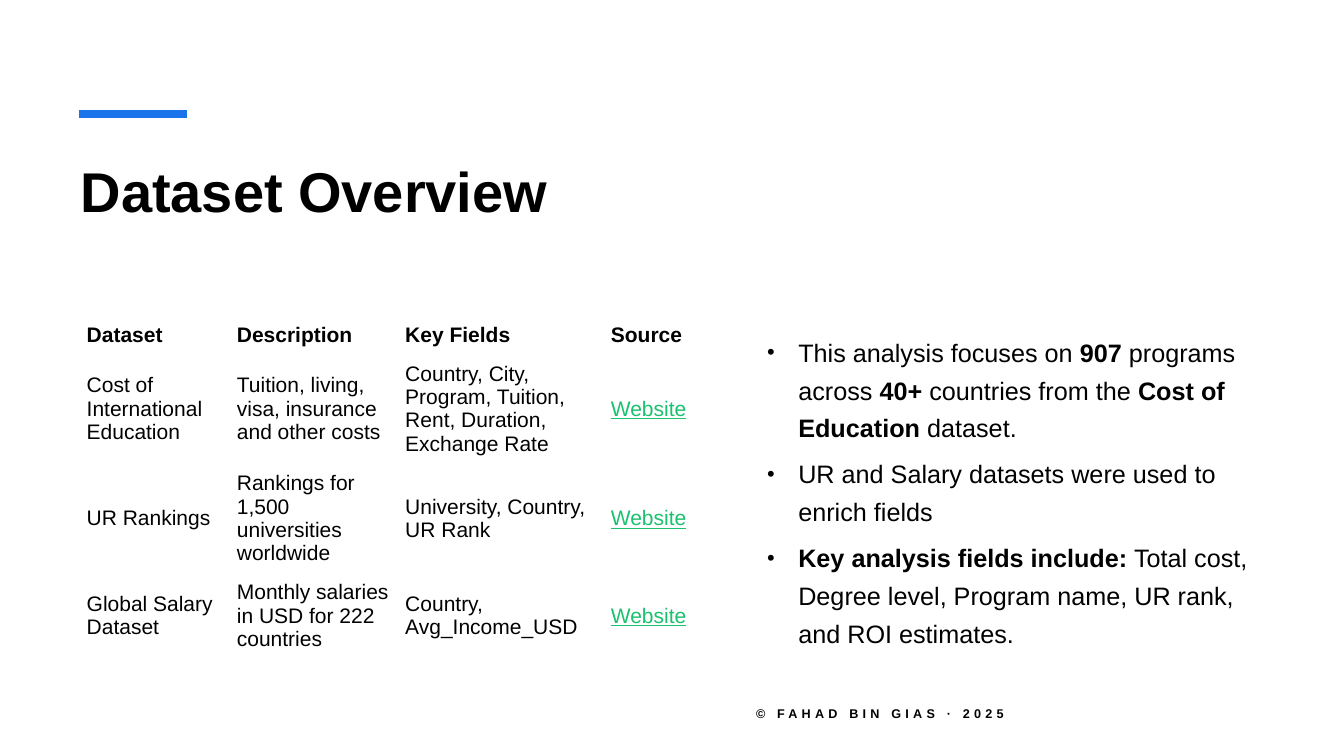
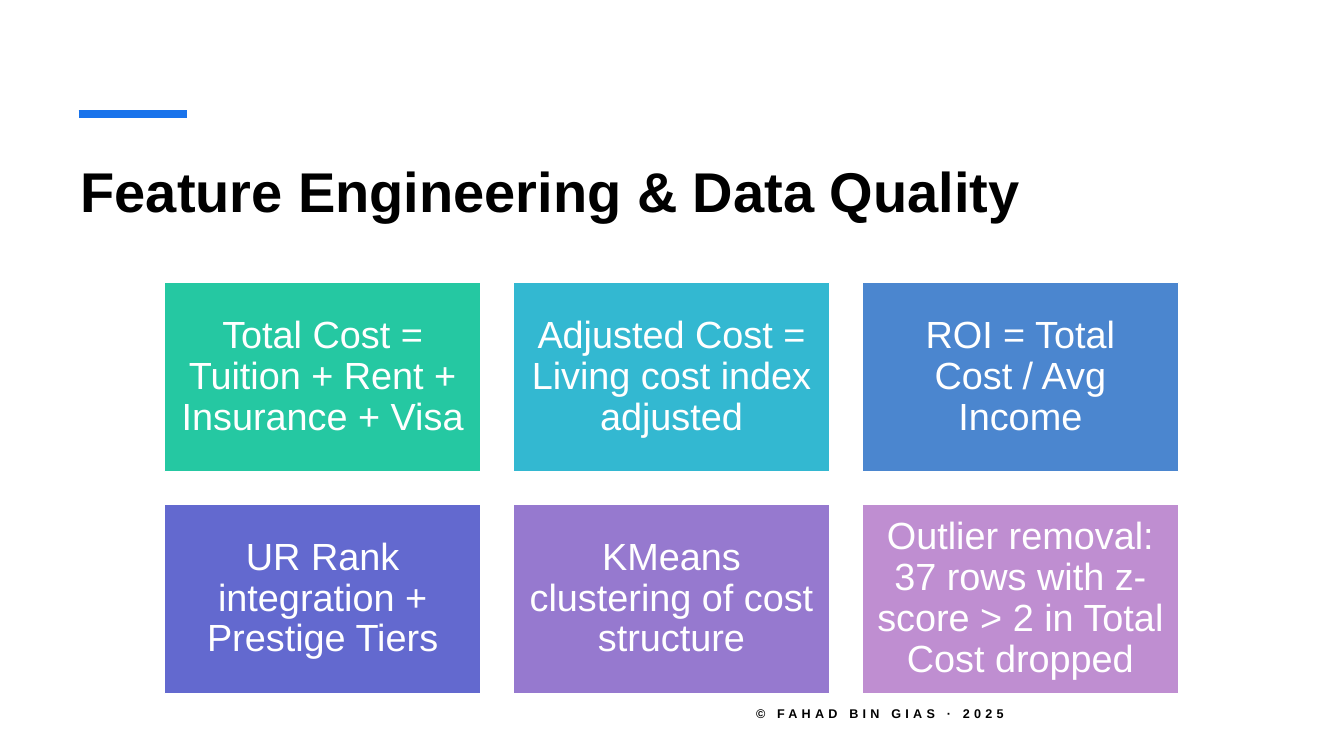
from lxml.etree import SubElement
from pptx import Presentation
from pptx.dml.color import RGBColor
from pptx.enum.shapes import MSO_CONNECTOR, MSO_SHAPE
from pptx.enum.text import MSO_ANCHOR, PP_ALIGN
from pptx.oxml.ns import qn
from pptx.util import Inches, Pt

FONT = "Arial"
BLACK = RGBColor(0x00, 0x00, 0x00)
WHITE = RGBColor(0xFF, 0xFF, 0xFF)
BLUE = RGBColor(0x19, 0x73, 0xEB)
LINK_GREEN = RGBColor(0x1A, 0xC1, 0x6E)

FOOTER = "© FAHAD BIN GIAS · 2025"

DATASETS = [
    ("Dataset", "Description", "Key Fields", "Source"),
    ("Cost of International Education",
     "Tuition, living, visa, insurance and other costs",
     "Country, City, Program, Tuition, Rent, Duration, Exchange Rate", "Website"),
    ("UR Rankings", "Rankings for 1,500 universities worldwide",
     "University, Country, UR Rank", "Website"),
    ("Global Salary Dataset", "Monthly salaries in USD for 222 countries",
     "Country, Avg_Income_USD", "Website"),
]
COLUMN_WIDTHS = [1.49, 1.67, 2.04, 0.97]
ROW_HEIGHTS = [0.36, 1.09, 1.09, 0.84]

# Each finding is a list of (text, bold) pieces
FINDINGS = [
    [("This analysis focuses on ", False), ("907", True),
     (" programs across ", False), ("40+", True),
     (" countries from the ", False), ("Cost of Education", True),
     (" dataset.", False)],
    [("UR and Salary datasets were used to enrich fields", False)],
    [("Key analysis fields include:", True),
     (" Total cost, Degree level, Program name, UR rank, and ROI estimates.", False)],
]

FEATURES = [
    ("Total Cost = Tuition + Rent + Insurance + Visa", RGBColor(0x25, 0xC8, 0xA2)),
    ("Adjusted Cost = Living cost index adjusted", RGBColor(0x33, 0xB8, 0xD1)),
    ("ROI = Total Cost / Avg Income", RGBColor(0x4B, 0x86, 0xCF)),
    ("UR Rank integration + Prestige Tiers", RGBColor(0x63, 0x69, 0xCF)),
    ("KMeans clustering of cost structure", RGBColor(0x96, 0x79, 0xCF)),
    ("Outlier removal: 37 rows with z-score > 2 in Total Cost dropped",
     RGBColor(0xBF, 0x8E, 0xD1)),
]
CARDS_PER_ROW = 3
CARD_LEFT, CARD_TOP = 1.63, 2.8
CARD_WIDTH, CARD_HEIGHT = 3.14, 1.88
CARD_GAP = 0.32


def style_runs(paragraph, size, color=BLACK, bold=False):
    for run in paragraph.runs:
        run.font.name = FONT
        run.font.size = Pt(size)
        run.font.color.rgb = color
        run.font.bold = bold


def add_text_frame(slide, left, top, width, height):
    box = slide.shapes.add_textbox(Inches(left), Inches(top), Inches(width), Inches(height))
    box.text_frame.word_wrap = True
    return box.text_frame


def add_titled_slide(prs, title_text):
    """Add a slide with the shared title, accent bar and footer."""
    slide = prs.slides.add_slide(prs.slide_layouts[5])
    title = slide.shapes.title
    title.left, title.top = Inches(0.7), Inches(1.5)
    title.width, title.height = Inches(11.91), Inches(1.06)
    title.text_frame.text = title_text
    title.text_frame.vertical_anchor = MSO_ANCHOR.TOP
    heading = title.text_frame.paragraphs[0]
    heading.alignment = PP_ALIGN.LEFT
    style_runs(heading, 40, bold=True)

    accent = slide.shapes.add_connector(
        MSO_CONNECTOR.STRAIGHT, Inches(0.78), Inches(1.13), Inches(1.85), Inches(1.13))
    accent.line.color.rgb = BLUE
    accent.line.width = Pt(6)
    SubElement(accent.element.spPr, qn("a:effectLst"))

    footer = add_text_frame(slide, 7.4, 6.88, 4.42, 0.4)
    footer.vertical_anchor = MSO_ANCHOR.MIDDLE
    footer.text = FOOTER
    style_runs(footer.paragraphs[0], 9, bold=True)
    footer.paragraphs[0].runs[0].font._element.set("spc", "300")
    return slide


def add_dataset_table(slide):
    table = slide.shapes.add_table(
        len(DATASETS), len(COLUMN_WIDTHS), Inches(0.78), Inches(3.15),
        Inches(sum(COLUMN_WIDTHS)), Inches(sum(ROW_HEIGHTS))).table
    table.first_row = table.horz_banding = False
    for column, width in zip(table.columns, COLUMN_WIDTHS):
        column.width = Inches(width)
    for row, height in zip(table.rows, ROW_HEIGHTS):
        row.height = Inches(height)
    for r, values in enumerate(DATASETS):
        for c, value in enumerate(values):
            is_header = r == 0
            is_link = not is_header and c == len(values) - 1
            cell = table.cell(r, c)
            cell.fill.background()
            cell.vertical_anchor = MSO_ANCHOR.MIDDLE
            cell.margin_left = cell.margin_right = Inches(0.08)
            cell.margin_top = cell.margin_bottom = Inches(0.04)
            cell.text_frame.text = value
            paragraph = cell.text_frame.paragraphs[0]
            style_runs(paragraph, 15, LINK_GREEN if is_link else BLACK, is_header)
            paragraph.runs[0].font.underline = is_link


def add_bullet(paragraph):
    properties = paragraph._p.get_or_add_pPr()
    properties.set("marL", str(Inches(0.31)))
    properties.set("indent", str(-Inches(0.31)))
    SubElement(properties, qn("a:buSzPct"), val="87000")
    SubElement(properties, qn("a:buFont"), typeface=FONT)
    SubElement(properties, qn("a:buChar"), char="•")


def add_findings(slide):
    frame = add_text_frame(slide, 7.51, 3.22, 5.1, 3.66)
    for i, pieces in enumerate(FINDINGS):
        paragraph = frame.add_paragraph() if i else frame.paragraphs[0]
        add_bullet(paragraph)
        paragraph.line_spacing = 1.25
        paragraph.space_after = Pt(6)
        for text, _ in pieces:
            paragraph.add_run().text = text
        style_runs(paragraph, 18)
        for run, (_, bold) in zip(paragraph.runs, pieces):
            run.font.bold = bold


def add_feature_cards(slide):
    for i, (text, color) in enumerate(FEATURES):
        row, column = divmod(i, CARDS_PER_ROW)
        card = slide.shapes.add_shape(
            MSO_SHAPE.RECTANGLE,
            Inches(CARD_LEFT + column * (CARD_WIDTH + CARD_GAP)),
            Inches(CARD_TOP + row * (CARD_HEIGHT + CARD_GAP)),
            Inches(CARD_WIDTH), Inches(CARD_HEIGHT))
        card.shadow.inherit = False
        card.fill.solid()
        card.fill.fore_color.rgb = color
        card.line.color.rgb = WHITE
        card.line.width = Pt(1)
        frame = card.text_frame
        frame.word_wrap = True
        frame.vertical_anchor = MSO_ANCHOR.MIDDLE
        frame.margin_left = frame.margin_right = Inches(0.11)
        frame.margin_top = frame.margin_bottom = Inches(0.11)
        frame.text = text
        paragraph = frame.paragraphs[0]
        paragraph.alignment = PP_ALIGN.CENTER
        paragraph.line_spacing = 0.9
        style_runs(paragraph, 27, WHITE)


def main():
    prs = Presentation()
    prs.slide_width, prs.slide_height = Inches(13.33), Inches(7.5)

    overview = add_titled_slide(prs, "Dataset Overview")
    add_dataset_table(overview)
    add_findings(overview)

    add_feature_cards(add_titled_slide(prs, "Feature Engineering & Data Quality"))

    prs.save("out.pptx")


if __name__ == "__main__":
    main()
